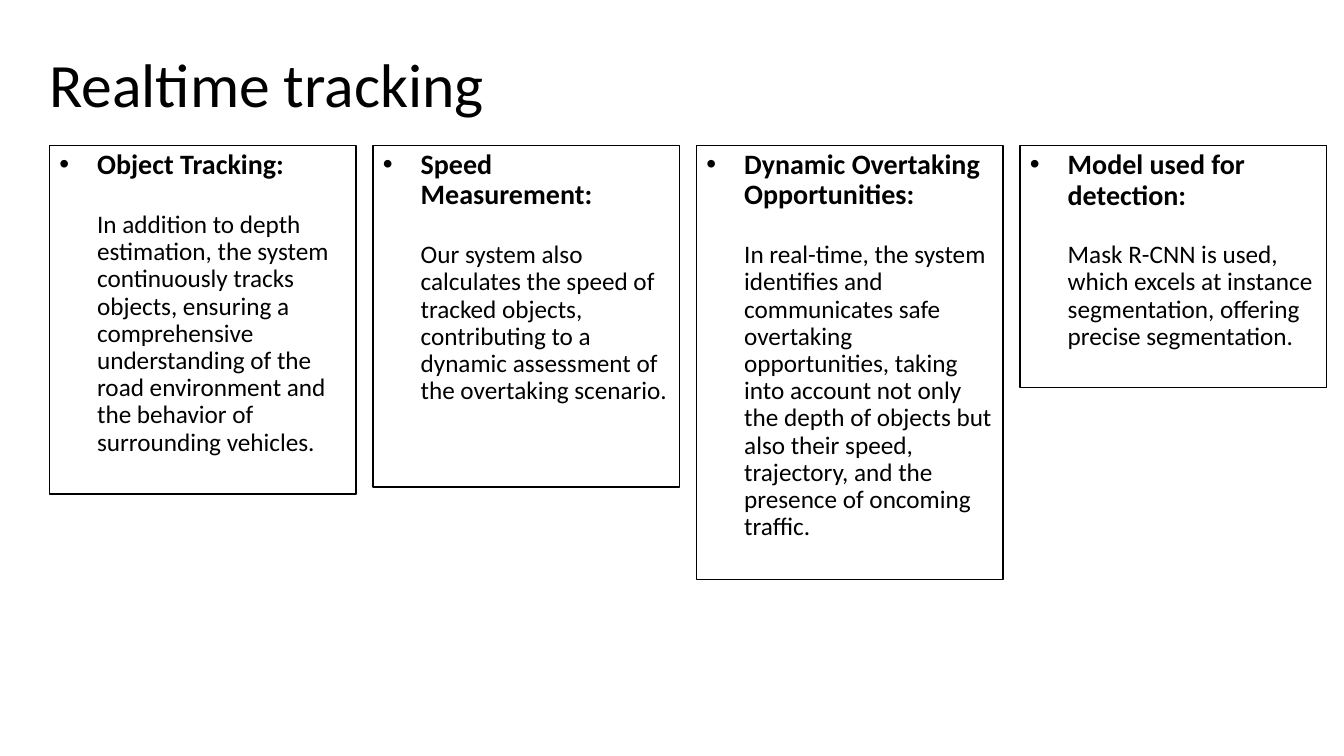
import pptx
import pptx.dml.color
import pptx.enum.shapes
import pptx.enum.text
import pptx.oxml
import pptx.oxml.ns
import pptx.util
from pptx.util import Pt

BLACK = pptx.dml.color.RGBColor(0x00, 0x00, 0x00)
WHITE = pptx.dml.color.RGBColor(0xFF, 0xFF, 0xFF)
FONT = "Calibri"

CARD_LEFT, CARD_TOP = 35.3, 104
CARD_WIDTH, CARD_PITCH = 219, 231.1
INDENT = 27

# Heading, body and height of each card, from left to right.
CARDS = [
    ("Object Tracking:",
     "In addition to depth estimation, the system continuously tracks objects, "
     "ensuring a comprehensive understanding of the road environment and the "
     "behavior of surrounding vehicles.", 249),
    ("Speed Measurement:",
     "Our system also calculates the speed of tracked objects, contributing to a "
     "dynamic assessment of the overtaking scenario.", 244),
    ("Dynamic Overtaking Opportunities:",
     "In real-time, the system identifies and communicates safe overtaking "
     "opportunities, taking into account not only the depth of objects but also "
     "their speed, trajectory, and the presence of oncoming traffic.", 310),
    ("Model used for detection:",
     "Mask R-CNN is used, which excels at instance segmentation, offering "
     "precise segmentation.", 173),
]


def format_paragraph(paragraph, size, bold=False):
    paragraph.alignment = pptx.enum.text.PP_ALIGN.LEFT
    paragraph.line_spacing = 0.9
    paragraph.font.name = FONT
    paragraph.font.size = Pt(size)
    paragraph.font.bold = bold
    paragraph.font.color.rgb = BLACK


def indent_paragraph(paragraph, bullet=None):
    """Indent the paragraph, hanging the bullet in the margin if there is one."""
    properties = paragraph._p.get_or_add_pPr()
    properties.set("marL", str(Pt(INDENT)))
    properties.set("indent", str(Pt(-INDENT if bullet else 0)))
    if bullet:
        namespace = pptx.oxml.ns.nsdecls("a")
        properties.append(pptx.oxml.parse_xml(
            f'<a:buFont {namespace} typeface="Arial"/>'))
        properties.append(pptx.oxml.parse_xml(
            f'<a:buChar {namespace} char="{bullet}"/>'))


def set_title(slide, text):
    title = slide.shapes.title
    title.left, title.top, title.width, title.height = Pt(28), Pt(10), Pt(364), Pt(104.5)
    frame = title.text_frame
    frame.text = text
    frame.vertical_anchor = pptx.enum.text.MSO_ANCHOR.MIDDLE
    format_paragraph(frame.paragraphs[0], 44)


def add_card(slide, left, height, heading_text, body_text):
    card = slide.shapes.add_shape(
        pptx.enum.shapes.MSO_SHAPE.RECTANGLE,
        Pt(left), Pt(CARD_TOP), Pt(CARD_WIDTH), Pt(height))
    card.shadow.inherit = False
    card.fill.solid()
    card.fill.fore_color.rgb = WHITE
    card.line.color.rgb = BLACK
    card.line.width = Pt(1)

    frame = card.text_frame
    frame.word_wrap = True
    frame.vertical_anchor = pptx.enum.text.MSO_ANCHOR.TOP

    heading = frame.paragraphs[0]
    heading.text = heading_text
    indent_paragraph(heading, "•")
    format_paragraph(heading, 20, bold=True)

    body = frame.add_paragraph()
    body.text = body_text
    indent_paragraph(body)
    format_paragraph(body, 18)
    body.space_before = Pt(22)


def main():
    presentation = pptx.Presentation()
    presentation.slide_width, presentation.slide_height = Pt(960), Pt(540)
    slide = presentation.slides.add_slide(presentation.slide_layouts[5])
    set_title(slide, "Realtime tracking")
    for column, (heading, body, height) in enumerate(CARDS):
        add_card(slide, CARD_LEFT + column * CARD_PITCH, height, heading, body)
    presentation.save("out.pptx")


if __name__ == "__main__":
    main()
